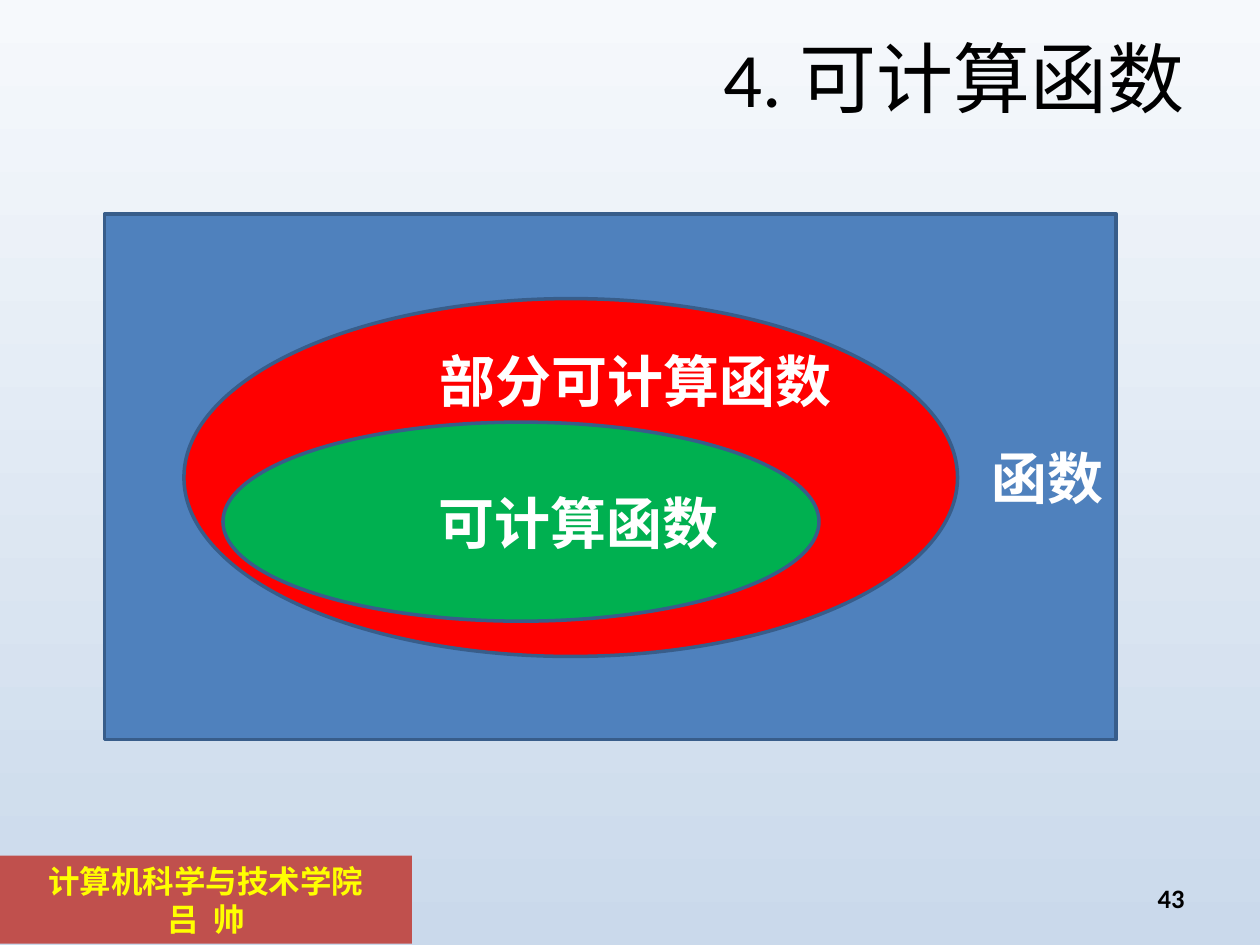
from dataclasses import dataclass

from pptx import Presentation
from pptx.dml.color import RGBColor
from pptx.enum.shapes import MSO_SHAPE
from pptx.enum.text import MSO_ANCHOR, PP_ALIGN
from pptx.util import Inches, Pt

RECTANGLE, OVAL = MSO_SHAPE.RECTANGLE, MSO_SHAPE.OVAL
TOP, MIDDLE = MSO_ANCHOR.TOP, MSO_ANCHOR.MIDDLE
CENTER, RIGHT = PP_ALIGN.CENTER, PP_ALIGN.RIGHT


@dataclass(frozen=True)
class Theme:
    background_top: str = "F6F9FC"
    background_bottom: str = "CAD9EB"
    banner: str = "C0504D"
    banner_text: str = "FFFF00"
    functions: str = "4F81BD"
    partial: str = "FF0000"
    computable: str = "00B050"
    outline: str = "385D8A"
    black: str = "000000"
    white: str = "FFFFFF"
    title_size: float = 44
    label_size: float = 32
    banner_size: float = 18
    number_size: float = 15.2
    font: str = "Calibri"
    banner_font: str = "Arial"


theme = Theme()


def write_text(shape, text, size, color, bold=True, align=RIGHT, anchor=MIDDLE, font=theme.font):
    text_frame = shape.text_frame
    text_frame.text = text
    text_frame.word_wrap = True
    text_frame.vertical_anchor = anchor
    for paragraph in text_frame.paragraphs:
        paragraph.alignment = align
        for run in paragraph.runs:
            run.font.name = font
            run.font.size = Pt(size)
            run.font.bold = bold
            run.font.color.rgb = RGBColor.from_string(color)


def add_filled_shape(kind, box, fill, outline=None):
    shape = slide.shapes.add_shape(kind, *map(Inches, box))
    shape.shadow.inherit = False
    shape.fill.solid()
    shape.fill.fore_color.rgb = RGBColor.from_string(fill)
    if outline:
        shape.line.color.rgb = RGBColor.from_string(outline)
        shape.line.width = Pt(2)
    else:
        shape.line.fill.background()
    return shape


presentation = Presentation()
presentation.slide_width = Inches(10)
presentation.slide_height = Inches(7.5)
slide = presentation.slides.add_slide(presentation.slide_layouts[6])

background = slide.background.fill
background.gradient()
background.gradient_angle = 270
stops = zip(background.gradient_stops, (theme.background_top, theme.background_bottom))
for position, (stop, color) in enumerate(stops):
    stop.position = position
    stop.color.rgb = RGBColor.from_string(color)

banner = add_filled_shape(RECTANGLE, (0, 6.79, 3.27, 0.7), theme.banner)
write_text(banner, "计算机科学与技术学院\n吕  帅", theme.banner_size, theme.banner_text,
           align=CENTER, anchor=TOP, font=theme.banner_font)

title = slide.shapes.add_textbox(Inches(0.5), Inches(0.3), Inches(9), Inches(0.61))
write_text(title, "4. 可计算函数", theme.title_size, theme.black, bold=False)

slide_number = slide.shapes.add_textbox(Inches(7.17), Inches(6.95), Inches(2.33), Inches(0.4))
write_text(slide_number, "43", theme.number_size, theme.black)
slide_number.text_frame.paragraphs[0].line_spacing = 0.8

# Nested sets, outermost first; the bottom inset lifts a label above the set inside it
function_sets = [
    ("函数", RECTANGLE, (0.83, 1.7, 8.03, 4.17), theme.functions, 0.05),
    ("部分可计算函数", OVAL, (1.46, 2.37, 6.14, 2.84), theme.partial, 1.6),
    ("可计算函数", OVAL, (1.77, 3.35, 4.73, 1.58), theme.computable, 0.05),
]
for label, kind, box, fill, bottom_inset in function_sets:
    function_set = add_filled_shape(kind, box, fill, theme.outline)
    write_text(function_set, label, theme.label_size, theme.white)
    function_set.text_frame.margin_bottom = Inches(bottom_inset)

presentation.save("out.pptx")
